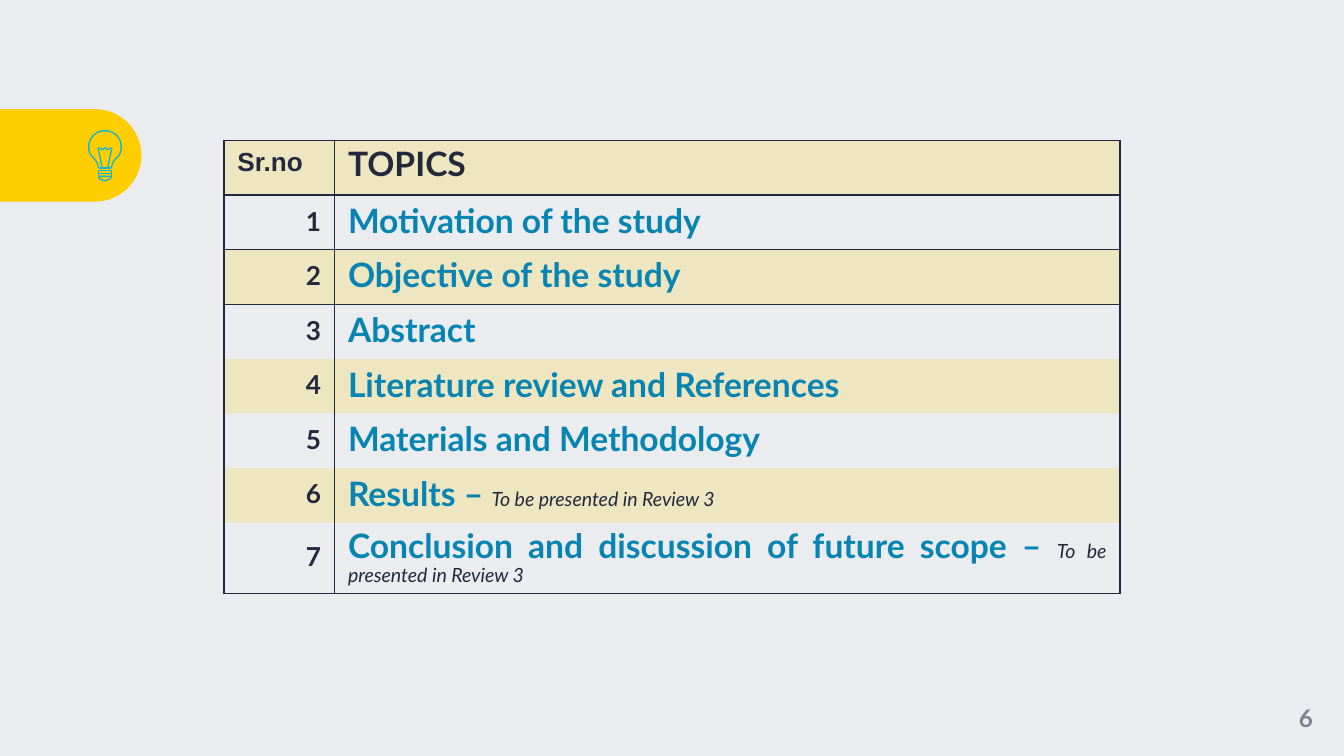
from dataclasses import dataclass
from math import cos, radians, sin

from lxml.etree import SubElement
from pptx import Presentation
from pptx.dml.color import RGBColor
from pptx.enum.shapes import MSO_CONNECTOR as Link, MSO_SHAPE as Shape
from pptx.enum.text import MSO_ANCHOR as Anchor, PP_ALIGN as Align
from pptx.oxml.ns import qn
from pptx.util import Pt

SCALE = 4762.5  # EMU per px, 1920 px across 10 inches
COLORS = {
    "back": "EAECF0", "yellow": "FFCE00", "ink": "24283B",
    "topic": "0784B1", "bulb": "1AB6D1", "number": "80828B",
}
NO_GRID = "{2D5ABB26-0587-4C30-8999-92F81FD0307C}"
LATER = "To be presented in Review 3"
AXIS = 150  # centre line of the bulb


@dataclass
class Topic:
    name: str
    note: str = ""


@dataclass
class Stroke:
    points: list[tuple[int, int]]
    closed: bool = False


TOPICS = [
    Topic("Motivation of the study"),
    Topic("Objective of the study"),
    Topic("Abstract"),
    Topic("Literature review and References"),
    Topic("Materials and Methodology"),
    Topic("Results – ", LATER),
    Topic("Conclusion and discussion of future scope – ", LATER),
]


def px(value: float) -> int:
    return round(value * SCALE)


def rgb(name: str) -> RGBColor:
    return RGBColor.from_string(COLORS[name])


def style(run, size: float, color: str = "ink", face: str = "Lato",
          bold: bool = True) -> None:
    font = run.font
    font.name, font.size, font.bold = face, Pt(size), bold
    font.color.rgb = rgb(color)


def edge(cell, side: str, width: float) -> None:
    """Draw one cell border; side is L, R, T or B."""
    line = SubElement(cell._tc.get_or_add_tcPr(), qn(f"a:ln{side}"), w=str(Pt(width)))
    fill = SubElement(line, qn("a:solidFill"))
    SubElement(fill, qn("a:srgbClr"), val=COLORS["ink"])


def tint(cell) -> None:
    cell.fill.solid()
    cell.fill.fore_color.rgb = rgb("yellow")
    color = cell._tc.tcPr.find(f".//{qn('a:solidFill')}[last()]")
    color = cell._tc.tcPr.find(qn("a:solidFill")).find(qn("a:srgbClr"))
    SubElement(color, qn("a:alpha"), val="20000")


def write(cell, text: str, size: float, color: str, align: Align,
          face: str = "Lato"):
    para = cell.text_frame.paragraphs[0]
    para.text, para.alignment = text, align
    if face == "Lato":
        para.line_spacing = 0.9
    style(para.runs[0], size, color, face)
    return para


def add_topics(slide) -> None:
    count = len(TOPICS) + 1
    frame = slide.shapes.add_table(count, 2, px(320), px(201), px(1280), px(647))
    table = frame.table
    frame._element.find(f".//{qn('a:tableStyleId')}").text = NO_GRID
    table.columns[0].width, table.columns[1].width = px(158), px(1122)
    rules = {0: 1, 1: 1, 2: 0.75, count: 1}  # horizontal lines: position, points
    for i, row in enumerate(table.rows):
        row.height = px(101 if i == count - 1 else 78)
        for cell in row.cells:
            edge(cell, "L", 1)
            edge(cell, "R", 1)
            for side, at in (("T", i), ("B", i + 1)):
                if at in rules:
                    edge(cell, side, rules[at])
            if i % 2 == 0:
                tint(cell)
            if i:
                cell.vertical_anchor = Anchor.MIDDLE
    write(table.cell(0, 0), "Sr.no", 14, "ink", Align.JUSTIFY, "Arial")
    write(table.cell(0, 1), "TOPICS", 18, "ink", Align.JUSTIFY)
    for i, topic in enumerate(TOPICS, 1):
        write(table.cell(i, 0), str(i), 14, "ink", Align.RIGHT)
        para = write(table.cell(i, 1), topic.name, 18, "topic", Align.JUSTIFY)
        if topic.note:
            note = para.add_run()
            note.text = topic.note
            style(note, 10.5, bold=False)
            note.font.italic = True


def flip(points: list[tuple[int, int]]) -> list[tuple[int, int]]:
    return [(-x, y) for x, y in points]


def band(top: int) -> Stroke:
    return Stroke([(-9, top), (9, top), (9, top + 4), (-9, top + 4)], True)


def add_bulb(slide) -> None:
    """Draw the bulb; points are offsets from its axis, and page heights."""
    group = slide.shapes.add_group_shape()
    neck = [(9, 240), (10, 236), (12, 231), (16, 226)]
    arc = [(round(23 * cos(radians(a)), 2), round(210 + 23 * sin(radians(a)), 2))
           for a in range(30, -91, -10)]
    half = neck + arc
    wire = [(10, 211), (7, 225), (4, 240)]
    strokes = [
        band(248), band(244),
        Stroke([(-9, 252), (-8, 255), (-2, 258), (2, 258), (8, 255), (9, 252)], True),
        Stroke(half + flip(half[-2::-1])),
        Stroke(wire), Stroke(flip(wire)),
        Stroke([(-8, 211), (-4, 214), (0, 211), (4, 214), (8, 211)]),
    ]
    for stroke in strokes:
        first, *rest = [(AXIS + x, y) for x, y in stroke.points]
        pen = group.shapes.build_freeform(*first, scale=SCALE)
        pen.add_line_segments(rest, close=stroke.closed)
        shape = pen.convert_to_shape()
        shape.shadow.inherit = False
        shape.fill.background()
        ink(shape)
    base = group.shapes.add_connector(
        Link.STRAIGHT, px(AXIS - 9), px(240), px(AXIS + 9), px(240))
    SubElement(base._element.spPr, qn("a:effectLst"))
    ink(base)


def ink(shape) -> None:
    shape.line.color.rgb = rgb("bulb")
    shape.line.width = Pt(0.75)


def add_tab(slide) -> None:
    tab = slide.shapes.add_shape(
        Shape.ROUND_2_SAME_RECTANGLE, px(35), px(121), px(132), px(202))
    tab.rotation = 90
    tab.adjustments[0], tab.adjustments[1] = 0.5, 0
    tab.shadow.inherit = False
    tab.fill.solid()
    tab.fill.fore_color.rgb = rgb("yellow")
    tab.line.fill.background()


def add_number(slide) -> None:
    frame = slide.shapes.add_textbox(px(1811), px(972), px(109), px(108)).text_frame
    frame.word_wrap = True
    frame.vertical_anchor = Anchor.MIDDLE
    frame.margin_left = frame.margin_right = 0
    frame.margin_top = frame.margin_bottom = 0
    frame.text = "6"
    para = frame.paragraphs[0]
    para.alignment = Align.CENTER
    style(para.runs[0], 13, "number")


def main() -> None:
    deck = Presentation()
    deck.slide_width, deck.slide_height = px(1920), px(1080)
    slide = deck.slides.add_slide(deck.slide_layouts[6])
    slide.background.fill.solid()
    slide.background.fill.fore_color.rgb = rgb("back")
    add_tab(slide)
    add_number(slide)
    add_bulb(slide)
    add_topics(slide)
    deck.save("out.pptx")


if __name__ == "__main__":
    main()
